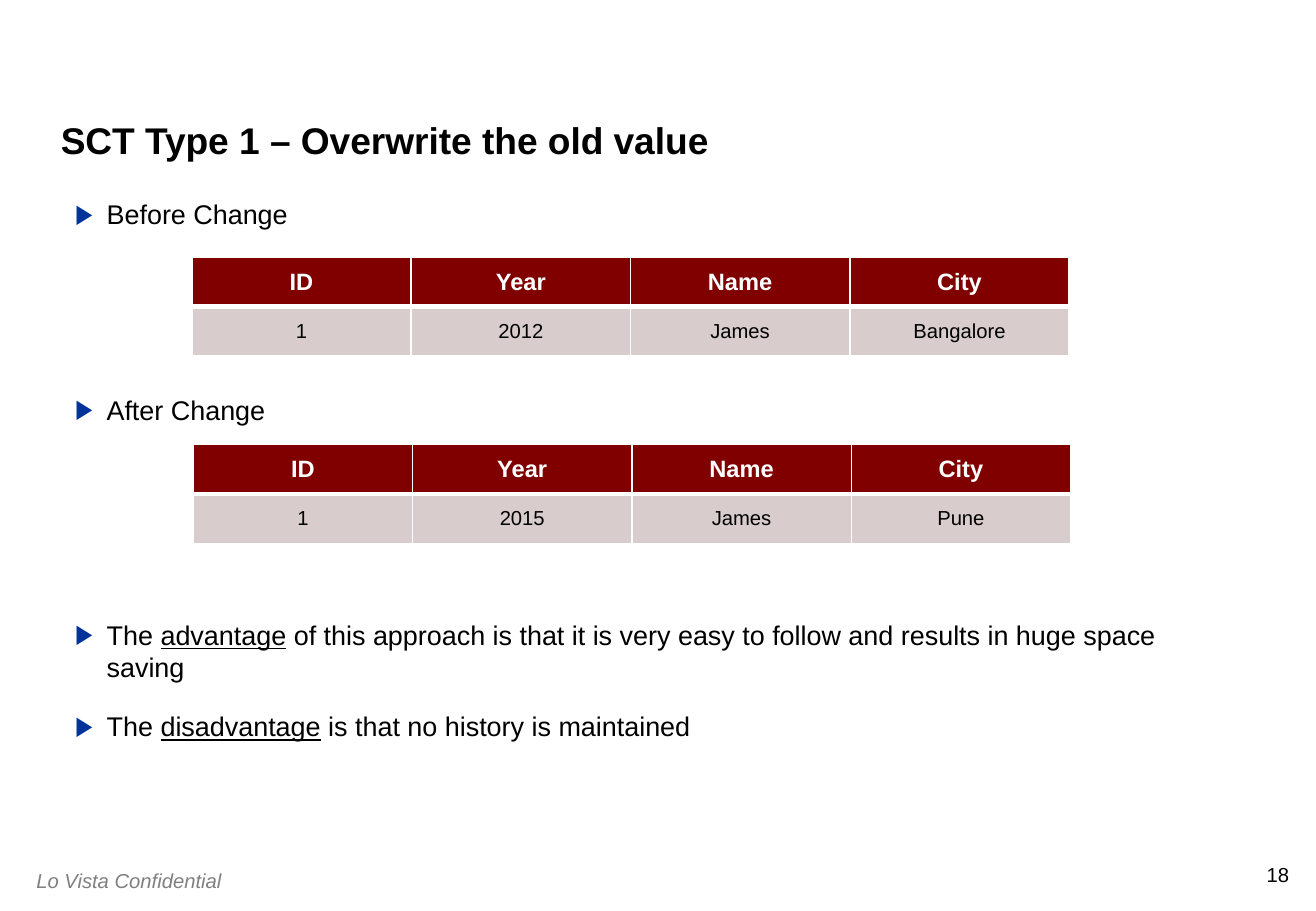
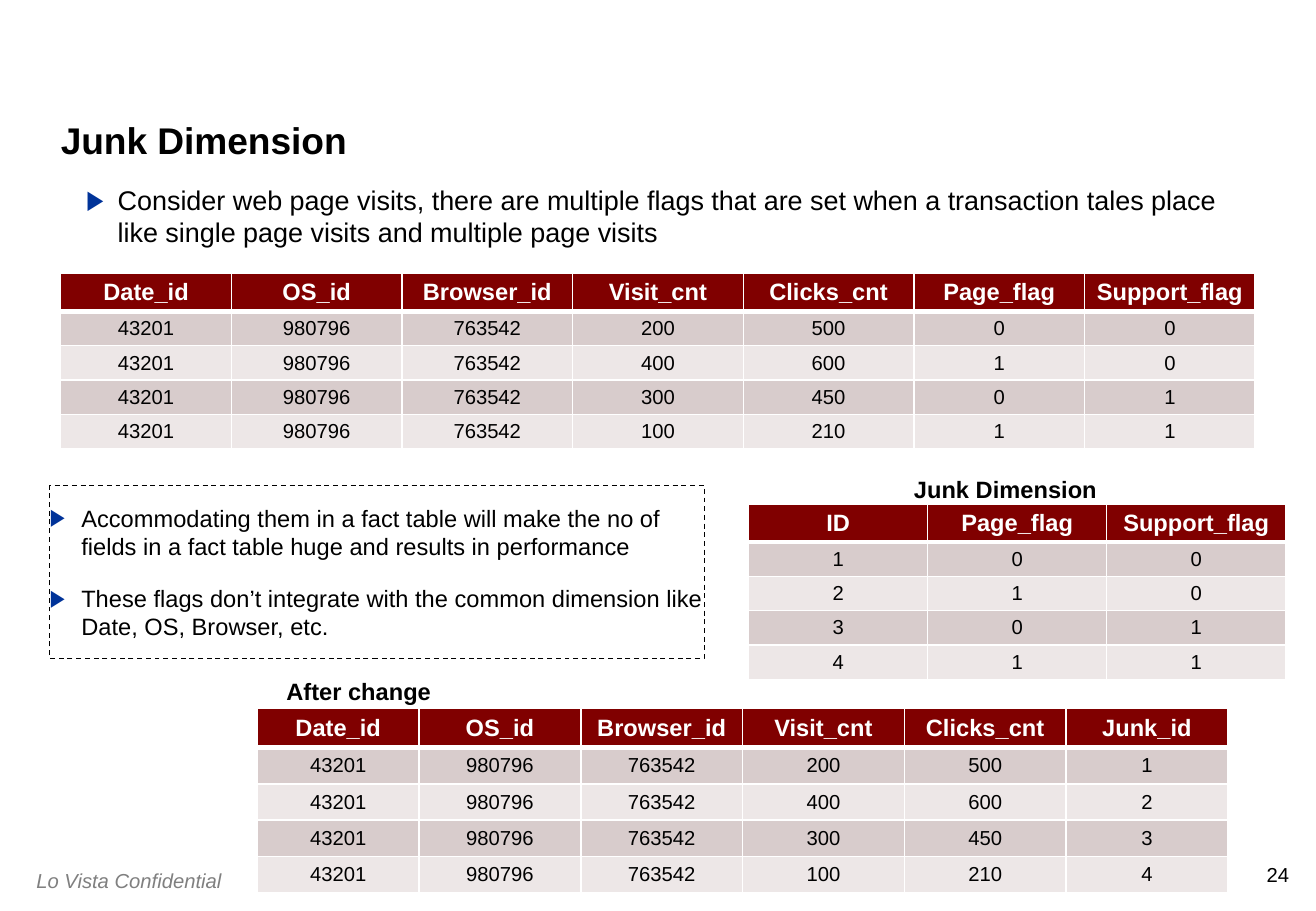
"""Build two slides on changing and junk dimensions."""
from lxml import etree
from pptx import Presentation
from pptx.dml.color import RGBColor
from pptx.enum import dml, shapes, text
from pptx.oxml import ns
from pptx.util import Cm, Pt

FONT = "Arial"
BLACK, WHITE, GREY = "000000", "FFFFFF", "808080"
BLUE, MAROON = "003399", "800000"
BANDS = ("D8CCCC", "EDE7E7")
LEFT, CENTER, RIGHT = text.PP_ALIGN.LEFT, text.PP_ALIGN.CENTER, text.PP_ALIGN.RIGHT
MIDDLE = text.MSO_ANCHOR.MIDDLE


def rgb(value):
    """Turn a hex string into a colour."""
    return RGBColor.from_string(value)


def style(p, size, color=BLACK, bold=False, italic=False):
    """Format every run of a paragraph."""
    for r in p.runs:
        f = r.font
        f.name, f.size, f.bold, f.italic = FONT, Pt(size), bold, italic
        f.color.rgb = rgb(color)


def place(sp, left, top, width, height):
    """Move and size a shape, in centimetres."""
    sp.left, sp.top, sp.width, sp.height = (Cm(v) for v in (left, top, width, height))


def frame(sp, anchor, margin=None, wrap=True):
    """Set up the text frame of a shape and return it."""
    tf = sp.text_frame
    tf.auto_size = text.MSO_AUTO_SIZE.NONE
    tf.word_wrap, tf.vertical_anchor = wrap, anchor
    if margin is not None:
        tf.margin_left = tf.margin_right = tf.margin_top = tf.margin_bottom = Cm(margin)
    return tf


def add_bullet(p):
    """Give a paragraph a hanging blue triangle."""
    pPr = p._p.get_or_add_pPr()
    pPr.set("marL", str(Cm(0.66)))
    pPr.set("indent", str(-Cm(0.66)))
    color = etree.SubElement(pPr, ns.qn("a:buClr"))
    etree.SubElement(color, ns.qn("a:srgbClr"), val=BLUE)
    etree.SubElement(pPr, ns.qn("a:buFont"), typeface=FONT)
    etree.SubElement(pPr, ns.qn("a:buChar"), char="▶")


def fill_bullets(sp, items, size, anchor=text.MSO_ANCHOR.TOP):
    """Write bulleted items, underlining the words between asterisks."""
    tf = frame(sp, anchor, 0)
    for i, item in enumerate(items):
        p = tf.add_paragraph() if i else tf.paragraphs[0]
        add_bullet(p)
        p.alignment = LEFT
        p.space_before = Pt(size if i else 0)
        for j, part in enumerate(item.split("*")):
            r = p.add_run()
            r.text = part
            r.font.underline = j % 2 == 1
        style(p, size)


def add_label(s, box, words, size, align=LEFT, margin=None, wrap=False, **look):
    """Add a one-line text box."""
    sp = s.shapes.add_textbox(*(Cm(v) for v in box))
    tf = frame(sp, text.MSO_ANCHOR.TOP, margin, wrap)
    tf.text = words
    p = tf.paragraphs[0]
    p.alignment = align
    style(p, size, **look)


def add_border(cell, side, width):
    """Draw one white edge of a table cell."""
    ln = etree.Element(ns.qn(f"a:ln{side}"), w=str(Pt(width)))
    fill = etree.SubElement(ln, ns.qn("a:solidFill"))
    etree.SubElement(fill, ns.qn("a:srgbClr"), val=WHITE)
    return ln


def format_cell(cell, value, row):
    """Write and format a header or banded body cell."""
    header = row == 0
    tcPr = cell._tc.get_or_add_tcPr()
    for side in "LRTB":
        thick = (row, side) in ((0, "B"), (1, "T"))
        tcPr.append(add_border(cell, side, 3 if thick else 1))
    cell.fill.solid()
    cell.fill.fore_color.rgb = rgb(MAROON if header else BANDS[(row - 1) % 2])
    cell.vertical_anchor = MIDDLE
    cell.margin_top = cell.margin_bottom = Cm(0.11)
    cell.text = str(value)
    p = cell.text_frame.paragraphs[0]
    p.alignment = CENTER
    style(p, 14 if header else 12, WHITE if header else BLACK, bold=header)


def add_grid(s, left, top, width, header_height, row_height, rows):
    """Add a table with equal columns; the first row is the header."""
    n, cols = len(rows), len(rows[0])
    height = header_height + row_height * (n - 1)
    table = s.shapes.add_table(n, cols, Cm(left), Cm(top), Cm(width), Cm(height)).table
    table.first_row = table.horz_banding = False
    for i, row in enumerate(rows):
        table.rows[i].height = Cm(row_height if i else header_height)
        for j, value in enumerate(row):
            format_cell(table.cell(i, j), value, i)


def add_slide(prs, title, number, body_box, items):
    """Add a slide with footer, title and bulleted body."""
    s = prs.slides.add_slide(prs.slide_layouts[1])
    add_label(s, (26.42, 18.03, 0.53, 0.51), str(number), 12, RIGHT, 0)
    add_label(s, (0.51, 18.03, 5.08, 0.76), "Lo Vista Confidential", 12,
              wrap=True, color=GREY, italic=True)
    place(s.shapes.title, 1.27, 1.07, 24.97, 2.34)
    tf = frame(s.shapes.title, text.MSO_ANCHOR.BOTTOM, 0)
    tf.text = title
    p = tf.paragraphs[0]
    p.alignment, p.line_spacing = LEFT, 0.9
    style(p, 22, bold=True)
    place(s.placeholders[1], *body_box)
    fill_bullets(s.placeholders[1], items, 16)
    return s


def build_overwrite(prs):
    """Build the slide on overwriting the old value."""
    s = add_slide(prs, "SCT Type 1 – Overwrite the old value", 18,
                  (1.57, 4.14, 24.33, 0.61), ["Before Change"])
    notes = [
        (8.23, ["After Change"]),
        (12.93, ["The *advantage* of this approach is that it is very easy to follow "
                 "and results in huge space saving",
                 "The *disadvantage* is that no history is maintained"]),
    ]
    for top, items in notes:
        sp = s.shapes.add_textbox(Cm(1.57), Cm(top), Cm(24.33), Cm(0.61))
        fill_bullets(sp, items, 16)
    header = ("ID", "Year", "Name", "City")
    for left, top, year, city in ((4.01, 5.38, 2012, "Bangalore"), (4.04, 9.3, 2015, "Pune")):
        add_grid(s, left, top, 18.34, 1.03, 1.03, [header, (1, year, "James", city)])


def build_junk(prs):
    """Build the slide on the junk dimension."""
    s = add_slide(prs, "Junk Dimension", 24, (1.8, 3.84, 24.33, 1.45),
                  ["Consider web page visits, there are multiple flags that are set when a "
                   "transaction tales place like single page visits and multiple page visits"])
    fact_header = ("Date_id", "OS_id", "Browser_id", "Visit_cnt", "Clicks_cnt")
    counts = ((200, 500), (400, 600), (300, 450), (100, 210))
    facts = [(43201, 980796, 763542, *pair) for pair in counts]
    flag_header = ("Page_flag", "Support_flag")
    flags = ((0, 0), (1, 0), (0, 1), (1, 1))
    ids = range(1, len(flags) + 1)

    add_grid(s, 1.27, 5.72, 24.97, 0.79, 0.72,
             [fact_header + flag_header] + [a + b for a, b in zip(facts, flags)])
    add_grid(s, 15.65, 10.54, 11.23, 0.79, 0.72,
             [("ID",) + flag_header] + [(i,) + b for i, b in zip(ids, flags)])
    add_label(s, (18.85, 9.8, 4.34, 0.86), "Junk Dimension", 14, CENTER, bold=True)
    add_grid(s, 5.38, 14.81, 20.29, 0.82, 0.76,
             [fact_header + ("Junk_id",)] + [a + (i,) for a, i in zip(facts, ids)])

    sp = s.shapes.add_shape(shapes.MSO_SHAPE.RECTANGLE,
                            Cm(1.04), Cm(10.16), Cm(13.69), Cm(3.61))
    sp.shadow.inherit = False
    sp.fill.background()
    sp.line.color.rgb = rgb(BLACK)
    sp.line.width = Pt(0.75)
    sp.line.dash_style = dml.MSO_LINE.DASH
    fill_bullets(sp, ["Accommodating them in a fact table will make the no of fields in a "
                      "fact table huge and results in performance",
                      "These flags don’t integrate with the common dimension like Date, OS, "
                      "Browser, etc."], 14, MIDDLE)
    add_label(s, (5.72, 14.02, 3.56, 0.86), "After change", 14, CENTER, bold=True)


def main():
    """Build and save the presentation."""
    prs = Presentation()
    prs.slide_width, prs.slide_height = Cm(27.51), Cm(19.05)
    build_overwrite(prs)
    build_junk(prs)
    prs.save("out.pptx")


if __name__ == "__main__":
    main()
